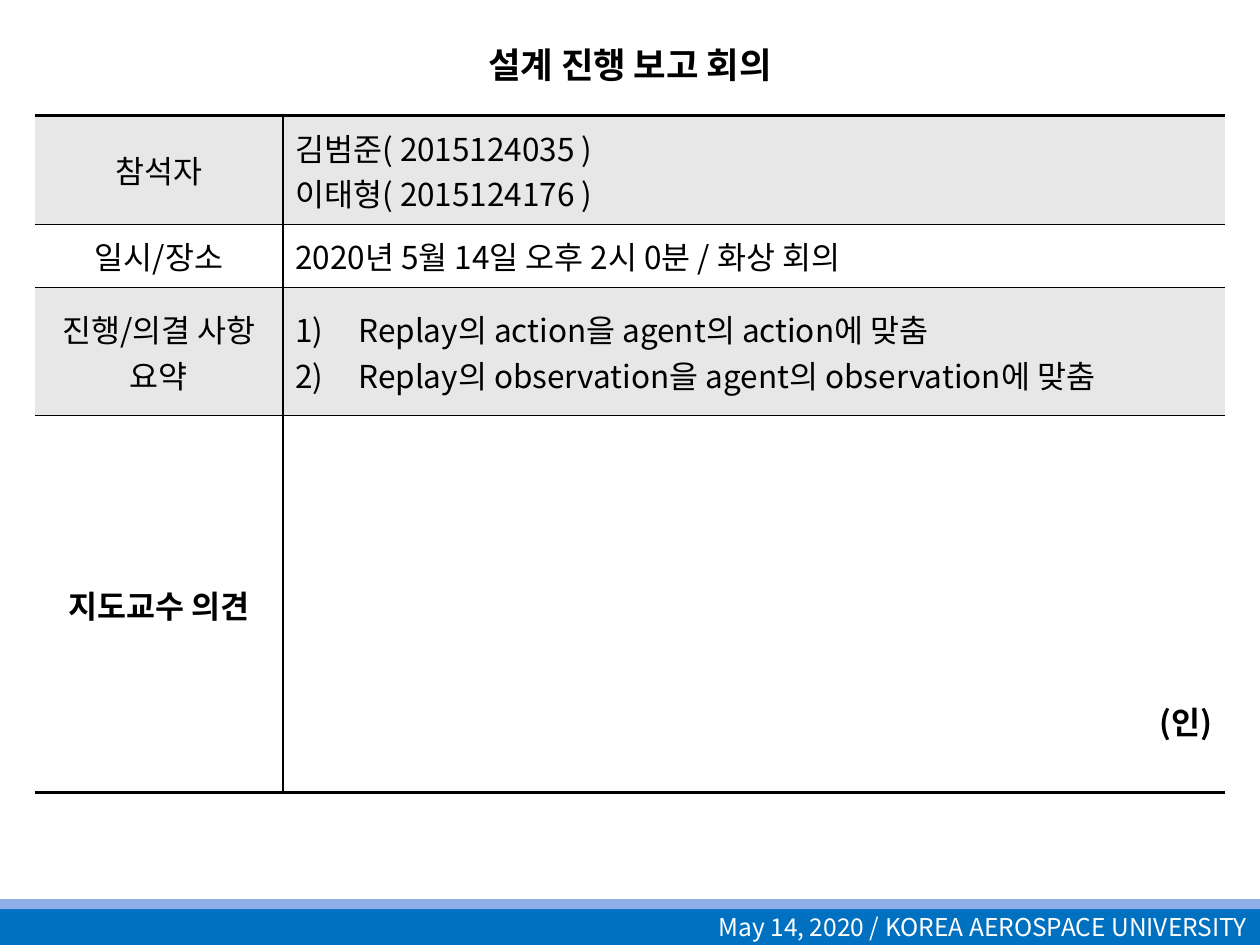
from dataclasses import dataclass

from lxml.etree import SubElement
from pptx import Presentation
from pptx.dml.color import RGBColor
from pptx.enum.shapes import MSO_SHAPE as Shape
from pptx.enum.text import MSO_ANCHOR as Anchor, PP_ALIGN as Align
from pptx.oxml.ns import qn
from pptx.slide import Slide
from pptx.util import Pt


def color(value):
    """Turn a hex string into a colour."""
    return RGBColor.from_string(value)


@dataclass
class MeetingSlide:
    """Hold the style and the slide being drawn."""

    page: Slide
    font: str = "Noto Sans CJK KR"
    ink: str = "000000"
    shade: str = "E7E7E7"
    paper: str = "FFFFFF"

    def label(self, frame, text, size, align, ink=None, bold=False):
        """Set the text of a frame and format its runs."""
        frame.text = text
        frame.word_wrap = True
        for para in frame.paragraphs:
            para.alignment = align
            for span in para.runs:
                span.font.size = Pt(size)
                span.font.bold = bold
                span.font.color.rgb = color(ink or self.ink)
                span.font.name = self.font
                SubElement(span._r.get_or_add_rPr(), qn("a:ea"), typeface=self.font)

    def bar(self, top, height, fill):
        """Draw a band across the full slide width."""
        box = self.page.shapes.add_shape(Shape.RECTANGLE, 0, Pt(top), Pt(720), Pt(height))
        box.shadow.inherit = False
        box.fill.solid()
        box.fill.fore_color.rgb = color(fill)
        box.line.fill.background()
        return box

    def footer(self, text):
        """Draw the two bands at the bottom with the footer text."""
        box = self.bar(519.3, 20.7, "0070C0")
        box.text_frame.vertical_anchor = Anchor.MIDDLE
        self.label(box.text_frame, text, 14, Align.RIGHT, self.paper)
        self.bar(513.8, 5.7, "8FADE9")

    def title(self, text):
        """Draw the centred small-caps title."""
        box = self.page.shapes.add_textbox(Pt(54), Pt(15), Pt(612), Pt(40))
        frame = box.text_frame
        self.label(frame, text, 25.2, Align.CENTER, bold=True)
        frame.vertical_anchor = Anchor.MIDDLE
        frame.paragraphs[0].runs[0]._r.get_or_add_rPr().set("cap", "small")

    def borders(self, cell, widths):
        """Set the cell borders, where a zero width means no line."""
        properties = cell._tc.get_or_add_tcPr()
        for side in "LRTB":
            width = widths.get(side, 0)
            line = SubElement(properties, qn(f"a:ln{side}"), w=str(Pt(width)))
            if width:
                fill = SubElement(line, qn("a:solidFill"))
                SubElement(fill, qn("a:srgbClr"), val=self.ink)
            else:
                SubElement(line, qn("a:noFill"))

    def number(self, para):
        """Give a paragraph a hanging automatic number."""
        properties = para._p.get_or_add_pPr()
        properties.set("marL", str(Pt(36)))
        properties.set("indent", str(Pt(-36)))
        SubElement(properties, qn("a:buAutoNum"), type="arabicParenR")

    def table(self, rows, columns, heights):
        """Draw the table of labels and entries."""
        frame = self.page.shapes.add_table(
            len(rows), len(columns), Pt(20), Pt(66), Pt(sum(columns)), Pt(sum(heights)))
        table = frame.table
        table.first_row = table.horz_banding = False
        for column, width in zip(table.columns, columns):
            column.width = Pt(width)
        last = len(rows) - 1
        for index, (texts, height) in enumerate(zip(rows, heights)):
            table.rows[index].height = Pt(height)
            edges = {"T": 1 if index else 2, "B": 2 if index == last else 1}
            for place, text in enumerate(texts):
                cell = table.cell(index, place)
                self.borders(cell, {**edges, "L" if place else "R": 1})
                cell.fill.solid()
                cell.fill.fore_color.rgb = color(self.paper if index % 2 else self.shade)
                cell.vertical_anchor = Anchor.MIDDLE
                align = Align.LEFT if place else Align.CENTER
                self.label(cell.text_frame, text, 18, align, bold=index == last)
        return table


def main():
    """Build the meeting report slide."""
    deck = Presentation()
    deck.slide_width, deck.slide_height = Pt(720), Pt(540)
    slide = MeetingSlide(deck.slides.add_slide(deck.slide_layouts[6]))
    slide.footer("May 14, 2020 / KOREA AEROSPACE UNIVERSITY")
    slide.title("설계 진행 보고 회의")
    rows = [
        ("참석자", "김범준( 2015124035 )\n이태형( 2015124176 )"),
        ("일시/장소", "2020년 5월 14일 오후 2시 0분 / 화상 회의"),
        ("진행/의결 사항 요약",
         "Replay의 action을 agent의 action에 맞춤\n"
         "Replay의 observation을 agent의 observation에 맞춤"),
        ("지도교수 의견", "(인)"),
    ]
    table = slide.table(rows, (141.6, 538.4), (62.4, 36, 73.2, 215.5))
    for para in table.cell(2, 1).text_frame.paragraphs:
        slide.number(para)
    seal = table.cell(3, 1)
    seal.vertical_anchor = Anchor.BOTTOM
    seal.margin_bottom = Pt(28)
    seal.text_frame.paragraphs[0].alignment = Align.RIGHT
    deck.save("out.pptx")


if __name__ == "__main__":
    main()
